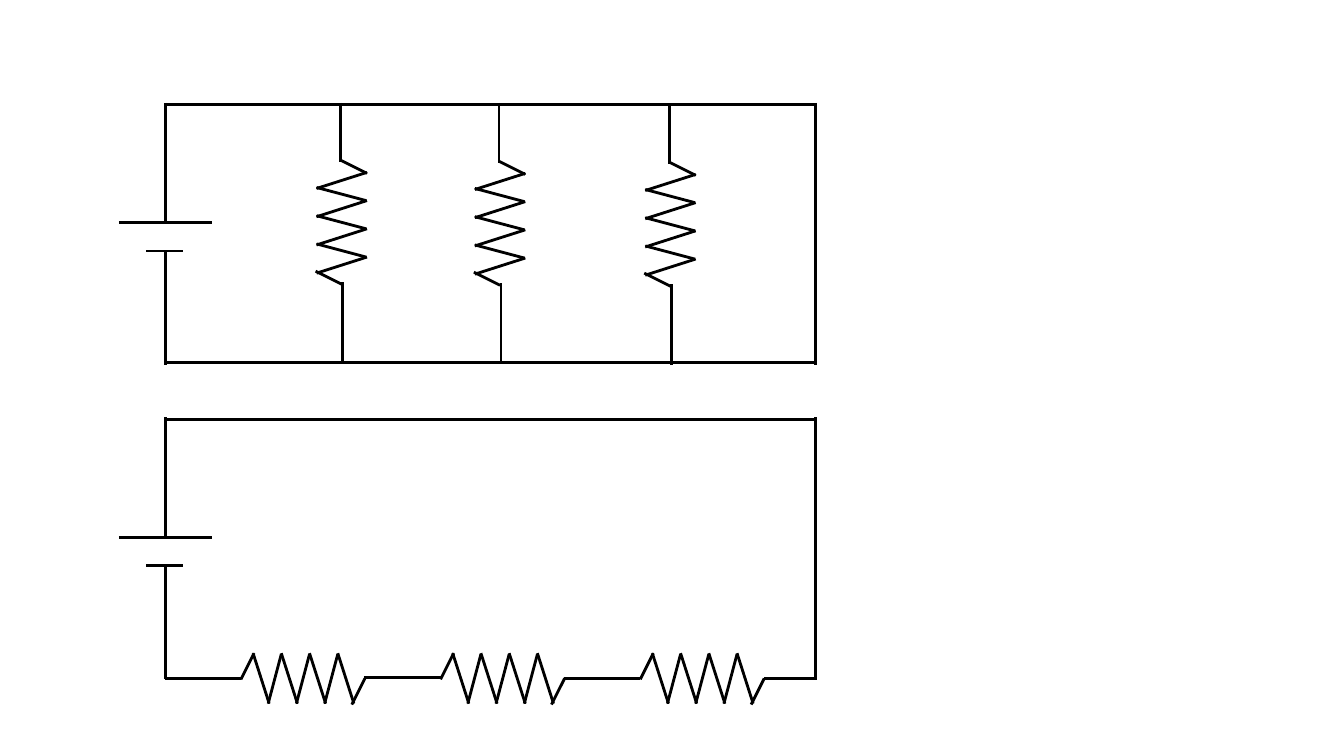
import pptx
import pptx.dml.color
import pptx.enum.shapes
import pptx.oxml.ns
import pptx.util
from lxml import etree
from pptx.util import Inches

COLORS = {"wire": "000000"}
WIRE_WIDTH = 2
CIRCUIT_LEFT, CIRCUIT_RIGHT = 1.64, 8.09
SERIES_OFFSET = 3.12
ZIGZAG_PITCH = 0.28


def add_wire(shapes, start, end):
    wire = shapes.add_connector(
        pptx.enum.shapes.MSO_CONNECTOR.STRAIGHT,
        *(Inches(round(value, 2)) for value in (*start, *end)),
    )
    wire.line.color.rgb = pptx.dml.color.RGBColor.from_string(COLORS["wire"])
    wire.line.width = pptx.util.Pt(WIRE_WIDTH)
    etree.SubElement(wire._element.spPr, pptx.oxml.ns.qn("a:effectLst"))


def add_battery_loop(shapes, top):
    """Draw the top wire, right wire and battery branch of one circuit."""
    end_top, end_bottom = top - 0.02, top + 2.58
    add_wire(shapes, (CIRCUIT_LEFT, top), (CIRCUIT_RIGHT, top))
    add_wire(shapes, (CIRCUIT_RIGHT, end_top), (CIRCUIT_RIGHT, end_bottom))
    add_wire(shapes, (CIRCUIT_LEFT, end_top), (CIRCUIT_LEFT, top + 1.17))
    add_wire(shapes, (CIRCUIT_LEFT, top + 1.46), (CIRCUIT_LEFT, end_bottom))
    add_wire(shapes, (1.18, top + 1.17), (2.1, top + 1.17))
    add_wire(shapes, (1.45, top + 1.45), (1.82, top + 1.45))


def zigzag_strokes():
    """Return resistor strokes as pairs of (across, along) points."""
    strokes = [((0.51, 0.13), (0.25, 0))]
    for turn in range(4):
        along = turn * ZIGZAG_PITCH
        strokes.append(((0.51, along + 0.12), (0.01, along + 0.28)))
        if turn < 3:
            strokes.append(((0.5, along + 0.4), (0.01, along + 0.27)))
    strokes.append(((0.26, 1.23), (0, 1.1)))
    return strokes


def add_resistor(shapes, place):
    """Draw a grouped resistor; place maps (across, along) to the slide."""
    resistor = shapes.add_group_shape()
    for start, end in zigzag_strokes():
        add_wire(resistor.shapes, place(*start), place(*end))


def add_parallel_resistor(shapes, left, top, lead_top, lead_bottom):
    add_resistor(shapes, lambda across, along: (left + across, top + along))
    add_wire(shapes, (left + 0.25, lead_top), (left + 0.25, top + 0.02))
    add_wire(shapes, (left + 0.27, top + 1.21), (left + 0.27, lead_bottom))


def add_series_resistor(shapes, left, bottom):
    add_resistor(shapes, lambda across, along: (left + along, bottom - across))


def add_parallel_circuit(shapes):
    add_battery_loop(shapes, 1.04)
    add_wire(shapes, (CIRCUIT_LEFT, 3.6), (CIRCUIT_RIGHT, 3.6))
    for left, top, lead_top, lead_bottom in (
        (3.13, 1.59, 1.02, 3.6),
        (4.7, 1.6, 1.02, 3.61),
        (6.39, 1.61, 1.04, 3.62),
    ):
        add_parallel_resistor(shapes, left, top, lead_top, lead_bottom)


def add_series_circuit(shapes):
    add_battery_loop(shapes, 1.04 + SERIES_OFFSET)
    for left in (2.39, 4.37, 6.35):
        add_series_resistor(shapes, left, 6.99)
    for start, end, level in (
        (CIRCUIT_LEFT, 2.39, 6.73),
        (3.61, 4.37, 6.72),
        (5.59, 6.35, 6.73),
        (7.58, 8.1, 6.73),
    ):
        add_wire(shapes, (start, level), (end, level))


def main():
    deck = pptx.Presentation()
    deck.slide_width, deck.slide_height = Inches(13.33), Inches(7.5)
    slide = deck.slides.add_slide(deck.slide_layouts[6])
    add_parallel_circuit(slide.shapes)
    add_series_circuit(slide.shapes)
    deck.save("out.pptx")


if __name__ == "__main__":
    main()
